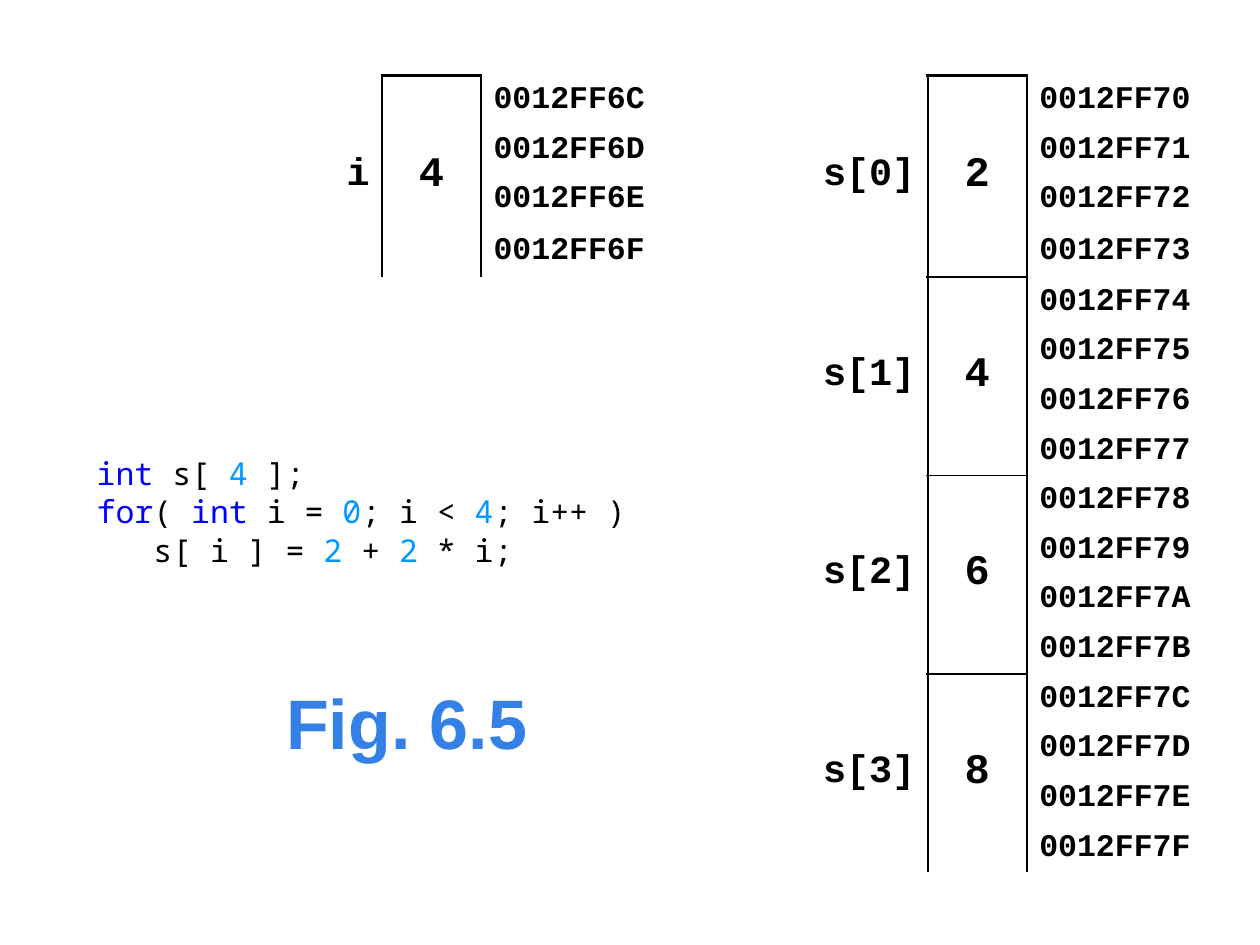
from lxml.etree import SubElement
from pptx import Presentation
from pptx.dml.color import RGBColor
from pptx.enum.text import MSO_ANCHOR as Anchor, PP_ALIGN as Align
from pptx.oxml.ns import qn
from pptx.util import Cm, Pt

BLACK, KEYWORD, NUMBER, ACCENT = "000000", "0000FF", "0099FF", "3380E6"
NO_STYLE = "{2D5ABB26-0587-4C30-8999-92F81FD0307C}"
BYTES = 4
CODE = [
    [("int", KEYWORD), (" s[ ", BLACK), ("4", NUMBER), (" ];", BLACK)],
    [("for", KEYWORD), ("( ", BLACK), ("int", KEYWORD), (" i = ", BLACK), ("0", NUMBER),
     ("; i < ", BLACK), ("4", NUMBER), ("; i++ )", BLACK)],
    [("   s[ i ] = ", BLACK), ("2", NUMBER), (" + ", BLACK), ("2", NUMBER), (" * i;", BLACK)],
]


def rgb(color):
    return RGBColor.from_string(color)


def add_text(p, text, size=18, font="Courier New", color=BLACK, bold=True, align=Align.LEFT):
    p.alignment = align
    r = p.add_run()
    r.text = text
    r.font.size = Pt(size)
    r.font.name = font
    r.font.bold = bold
    r.font.color.rgb = rgb(color)


def add_border(cell, side, width):
    ln = SubElement(cell._tc.get_or_add_tcPr(), qn(f"a:ln{side}"), w=str(Pt(width)))
    fill = SubElement(ln, qn("a:solidFill"))
    SubElement(fill, qn("a:srgbClr"), val=BLACK)


def fill_cell(cell, text, top, bottom, **fmt):
    cell.vertical_anchor = Anchor.MIDDLE
    cell.margin_left = cell.margin_right = Cm(0.25)
    cell.margin_top, cell.margin_bottom = Cm(top), Cm(bottom)
    add_text(cell.text_frame.paragraphs[0], text, **fmt)


def add_memory(s, left, label_width, variables, address):
    rows = BYTES * len(variables)
    widths = [label_width, 2, 4]
    frame = s.shapes.add_table(rows, 3, Cm(left), Cm(1.52), Cm(sum(widths)), Cm(rows))
    table = frame.table
    table.first_row = table.horz_banding = False
    table._tbl.tblPr.find(qn("a:tableStyleId")).text = NO_STYLE
    for column, width in zip(table.columns, widths):
        column.width = Cm(width)
    for row in range(rows):
        table.rows[row].height = Cm(1)
        label, value, byte = (table.cell(row, c) for c in range(3))
        add_border(label, "R", 1.5)
        add_border(value, "L", 1.5)
        add_border(value, "R", 1.5)
        if row % BYTES == 0:
            add_border(value, "T", 1 if row else 1.5)
        if row % BYTES == BYTES - 1:
            add_border(value, "B", 1.5 if row == rows - 1 else 1)
        for cell in (label, value, byte):
            cell.fill.background()
        fill_cell(byte, f"{address + row:08X}", 0.1, 0.1)
    for i, (name, number) in enumerate(variables):
        first, last = i * BYTES, (i + 1) * BYTES - 1
        for c, text, size, align in ((0, name, 22, Align.RIGHT), (1, number, 24, Align.CENTER)):
            cell = table.cell(first, c)
            cell.merge(table.cell(last, c))
            fill_cell(cell, text, 0, 0.05, size=size, align=align)


def add_title(s, text):
    sp = s.shapes.title
    sp.left, sp.top, sp.width, sp.height = Cm(3.2), Cm(13.54), Cm(10), Cm(2)
    tf = sp.text_frame
    tf.vertical_anchor = Anchor.MIDDLE
    add_text(tf.paragraphs[0], text, size=40, font="Arial", color=ACCENT, align=Align.CENTER)


def add_code(s, lines):
    tf = s.shapes.add_textbox(Cm(1.7), Cm(9.02), Cm(13), Cm(3.5)).text_frame
    tf.word_wrap = True
    for i, line in enumerate(lines):
        p = tf.add_paragraph() if i else tf.paragraphs[0]
        p.space_before = Pt(0.6 if i else 0)
        for text, color in line:
            add_text(p, text, font="Noto Sans Mono", color=color, bold=False)


def main():
    prs = Presentation()
    prs.slide_width, prs.slide_height = Cm(25.4), Cm(19.05)
    s = prs.slides.add_slide(prs.slide_layouts[5])
    add_title(s, "Fig. 6.5")
    add_code(s, CODE)
    add_memory(s, 16.2, 2.5, [(f"s[{i}]", str(2 + 2 * i)) for i in range(4)], 0x12FF70)
    add_memory(s, 6.7, 1, [("i", "4")], 0x12FF6C)
    prs.save("out.pptx")


if __name__ == "__main__":
    main()
